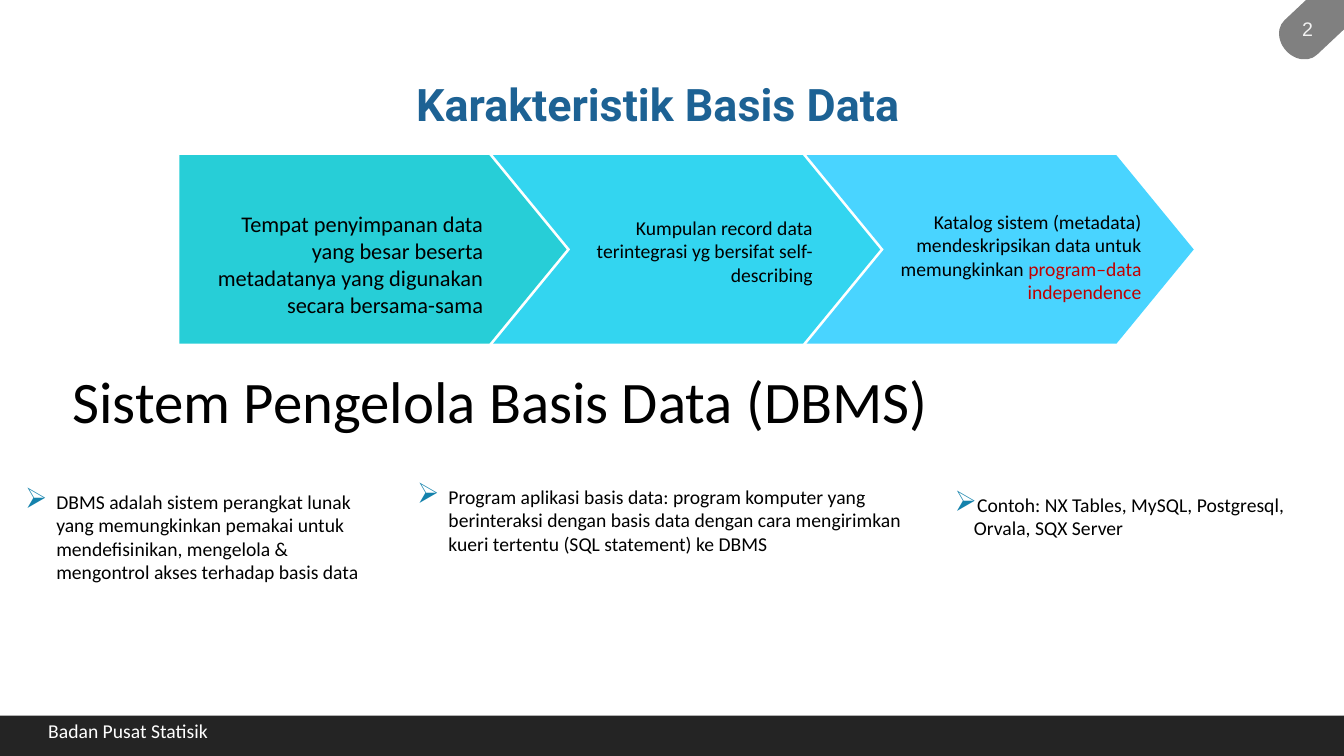
from lxml import etree
from pptx import Presentation
from pptx.dml.color import RGBColor
from pptx.enum.shapes import MSO_SHAPE
from pptx.enum.text import MSO_ANCHOR, PP_ALIGN
from pptx.oxml.ns import qn
from pptx.util import Inches, Pt

RECT, STORAGE = MSO_SHAPE.RECTANGLE, MSO_SHAPE.FLOWCHART_STORED_DATA
HOME_PLATE, CHEVRON = MSO_SHAPE.PENTAGON, MSO_SHAPE.CHEVRON
LEFT, CENTER, RIGHT = PP_ALIGN.LEFT, PP_ALIGN.CENTER, PP_ALIGN.RIGHT
BOTTOM = MSO_ANCHOR.BOTTOM

BLACK = RGBColor(0x00, 0x00, 0x00)
WHITE = RGBColor(0xFF, 0xFF, 0xFF)
NEAR_BLACK = RGBColor(0x0D, 0x0D, 0x0D)
GRAY = RGBColor(0x80, 0x80, 0x80)
PALE_GRAY = RGBColor(0xF2, 0xF2, 0xF2)
TITLE_BLUE = RGBColor(0x1D, 0x62, 0x94)
BULLET_BLUE = RGBColor(0x14, 0x82, 0xAC)
RED = RGBColor(0xC0, 0x00, 0x00)
TEAL = RGBColor(0x27, 0xCE, 0xD7)
CYAN = RGBColor(0x33, 0xD5, 0xF0)
SKY = RGBColor(0x49, 0xD4, 0xFF)

prs = Presentation()
prs.slide_width, prs.slide_height = Inches(13.33), Inches(7.5)
s = prs.slides.add_slide(prs.slide_layouts[6])


def add_shape(kind, box, color):
    sp = s.shapes.add_shape(kind, *map(Inches, box))
    sp.shadow.inherit = False
    sp.fill.solid()
    sp.fill.fore_color.rgb = color
    sp.line.fill.background()
    return sp


def add_text(box, runs, size, align=LEFT, color=BLACK, **font):
    tf = s.shapes.add_textbox(*map(Inches, box)).text_frame
    tf.word_wrap = True
    p = tf.paragraphs[0]
    p.alignment = align
    for text, run_color in runs:
        r = p.add_run()
        r.text = text
        for name, value in {"name": "Calibri", "size": Pt(size), **font}.items():
            setattr(r.font, name, value)
        r.font.color.rgb = run_color or color
    return tf


# Footer bar, slightly transparent
bar = add_shape(RECT, (0, 7.1, 13.33, 0.4), NEAR_BLACK)
rgb = bar.fill._xPr.find(".//" + qn("a:srgbClr"))
etree.SubElement(rgb, qn("a:alpha"), val="90000")
tf = add_text((0.38, 7.11, 1.81, 0.31), [("Badan Pusat Statisik", None)], 14, color=WHITE)
tf.word_wrap = False
tf.paragraphs[0].line_spacing = 0.9

# Page number tab
tab = add_shape(STORAGE, (12.6, -0.13, 1.17, 0.47), GRAY)
tab.rotation = 316.8
add_text((12.74, 0.12, 0.46, 0.34), [("2", None)], 14, CENTER, PALE_GRAY, name="Arial")

# Title
add_text((1.34, 0.71, 10.37, 0.68), [("Karakteristik Basis Data", None)], 32,
         CENTER, TITLE_BLUE, name="Roboto", bold=True)

# Chain of characteristics
STEPS = [
    (HOME_PLATE, TEAL, (2.04, 2.04, 2.85, 0.34), 16,
     [("Tempat penyimpanan data yang besar beserta metadatanya "
       "yang digunakan secara bersama-sama", None)]),
    (CHEVRON, CYAN, (5.6, 2.09, 2.56, 0.34), 14,
     [("Kumpulan record data terintegrasi yg bersifat self-describing", None)]),
    (CHEVRON, SKY, (8.27, 2.03, 3.15, 0.34), 14,
     [("Katalog sistem (metadata) mendeskripsikan data untuk memungkinkan ", None),
      ("program–data independence", RED)]),
]
for i, (kind, color, box, size, runs) in enumerate(STEPS):
    step = add_shape(kind, (1.78 + 3.11 * i, 1.54, 3.84, 1.87), color)
    step.adjustments[0] = 0.41
    add_text(box, runs, size, RIGHT)

# DBMS heading
tf = add_text((0.46, 3.27, 9, 1.08), [("Sistem Pengelola Basis Data (DBMS)", None)], 42, CENTER)
tf.vertical_anchor = BOTTOM
tf.paragraphs[0].line_spacing = 0.7

# DBMS points with arrow bullets
POINTS = [
    ((0.15, 4.81, 3.75, 1.48), 0.31,
     "DBMS adalah sistem perangkat lunak yang memungkinkan pemakai untuk "
     "mendefisinikan, mengelola & mengontrol akses terhadap basis data"),
    ((4.04, 4.76, 5.33, 0.78), 0.31,
     "Program aplikasi basis data: program komputer yang berinteraksi dengan basis "
     "data dengan cara mengirimkan kueri tertentu (SQL statement) ke DBMS"),
    ((9.37, 4.84, 3.66, 0.78), 0.19,
     "Contoh: NX Tables, MySQL, Postgresql, Orvala, SQX Server"),
]
for box, indent, text in POINTS:
    p = add_text(box, [(text, None)], 14).paragraphs[0]
    pPr = p._p.get_or_add_pPr()
    pPr.set("marL", str(Inches(indent)))
    pPr.set("indent", str(-Inches(indent)))
    bu_color = etree.SubElement(pPr, qn("a:buClr"))
    etree.SubElement(bu_color, qn("a:srgbClr"), val=str(BULLET_BLUE))
    etree.SubElement(pPr, qn("a:buSzPct"), val="145000")
    etree.SubElement(pPr, qn("a:buChar"), char="➢")

prs.save("out.pptx")
